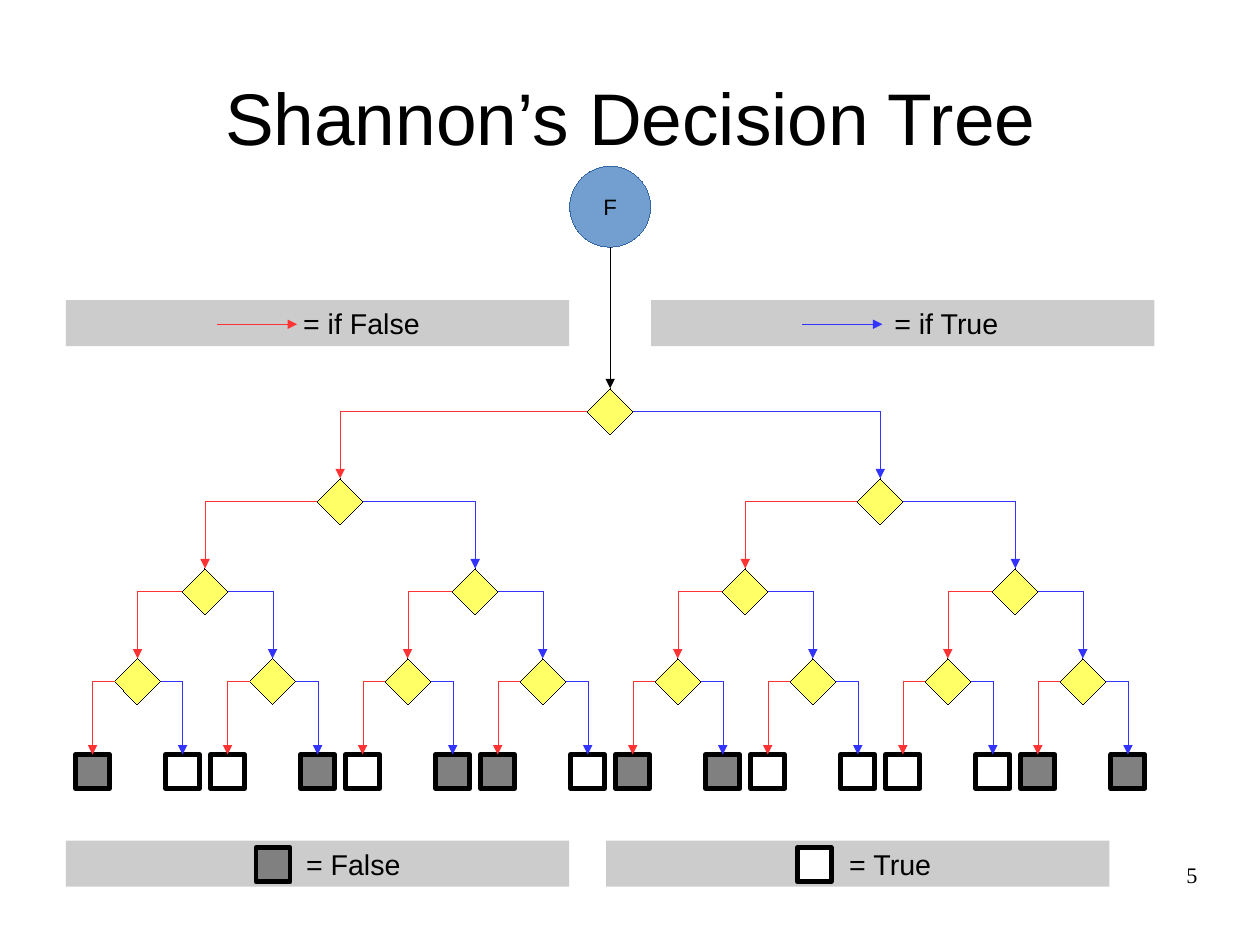
from lxml.etree import SubElement
from pptx import Presentation
from pptx.dml.color import RGBColor
from pptx.enum.shapes import MSO_CONNECTOR, MSO_SHAPE
from pptx.enum.text import MSO_ANCHOR, PP_ALIGN
from pptx.oxml.ns import qn
from pptx.util import Inches, Pt

TITLE = "Shannon’s Decision Tree"
FUNCTION_NAME = "F"
SLIDE_NUMBER = "5"
LEAVES = "FTTFTFFTFFTTTTFF"
BRANCH_COLORS = {"F": "FF3333", "T": "3333FF"}
LEAF_COLORS = {"F": "808080", "T": "FFFFFF"}
ARROW_LEGENDS = [
    ("= if False", "F", 66, 237, 217),
    ("= if True", "T", 651, 243, 802),
]
LEAF_LEGENDS = [
    ("= False", "F", 66, 240, 273),
    ("= True", "T", 606, 243, 814),
]

PX = 8000
HAIRLINE = Pt(0.01)
ROOT_X, ROOT_Y, LEVEL_GAP = 610, 411, 90
SPREADS = [270, 135, 67.5, 45]
DIAMOND, LEAF, CIRCLE = 46, 34, 81
LEGEND_WIDTH, LEGEND_HEIGHT = 503, 46
ARROW_LEGEND_TOP, LEAF_LEGEND_TOP = 300, 840
LEFT_SITE, RIGHT_SITE, TOP_SITE = 1, 3, 0


def emu(*lengths):
    return [round(length * PX) for length in lengths]


def color(value):
    return RGBColor.from_string(value)


def write(shape, text, size, font="Arial", align=PP_ALIGN.CENTER, anchor=MSO_ANCHOR.MIDDLE, left=0):
    frame = shape.text_frame
    frame.text = text
    frame.word_wrap = True
    frame.vertical_anchor = anchor
    frame.margin_left = left * PX
    frame.margin_right = frame.margin_top = frame.margin_bottom = 0
    paragraph = frame.paragraphs[0]
    paragraph.alignment = align
    paragraph.font.size = Pt(size)
    paragraph.font.name = font
    paragraph.font.color.rgb = color("000000")


def add_block(slide, kind, left, top, width, height, fill, line=None, line_width=HAIRLINE):
    shape = slide.shapes.add_shape(kind, *emu(left, top, width, height))
    shape.shadow.inherit = False
    shape.fill.solid()
    shape.fill.fore_color.rgb = color(fill)
    if line:
        shape.line.color.rgb = color(line)
        shape.line.width = line_width
    else:
        shape.line.fill.background()
    return shape


def add_leaf(slide, x, y, value):
    return add_block(slide, MSO_SHAPE.RECTANGLE, x - LEAF / 2, y - LEAF / 2, LEAF, LEAF,
                     LEAF_COLORS[value], "000000", Pt(3))


def add_arrow(slide, kind, start, end, line):
    arrow = slide.shapes.add_connector(kind, *emu(*start, *end))
    arrow.line.color.rgb = color(line)
    arrow.line.width = HAIRLINE
    properties = arrow.element.spPr
    SubElement(properties.find(qn("a:ln")), qn("a:tailEnd"), type="triangle")
    SubElement(properties, qn("a:effectLst"))
    return arrow


def add_branch(slide, parent, child, start, end, value):
    branch = add_arrow(slide, MSO_CONNECTOR.ELBOW, start, end, BRANCH_COLORS[value])
    branch.element.spPr.find(qn("a:prstGeom")).set("prst", "bentConnector2")
    branch.begin_connect(parent, LEFT_SITE if value == "F" else RIGHT_SITE)
    branch.end_connect(child, TOP_SITE)


def add_tree(slide, x, y, level, leaves):
    if level == len(SPREADS):
        return add_leaf(slide, x, y, leaves)
    node = add_block(slide, MSO_SHAPE.DIAMOND, x - DIAMOND / 2, y - DIAMOND / 2,
                     DIAMOND, DIAMOND, "FFFF66", "000000")
    half = len(leaves) // 2
    child_y = y + LEVEL_GAP
    child_size = LEAF if half == 1 else DIAMOND
    for value, side, part in (("F", -1, leaves[:half]), ("T", 1, leaves[half:])):
        child_x = x + side * SPREADS[level]
        child = add_tree(slide, child_x, child_y, level + 1, part)
        start = (x + side * DIAMOND / 2, y)
        add_branch(slide, node, child, start, (child_x, child_y - child_size / 2), value)
    return node


def add_legend(slide, text, left, top, text_left):
    legend = add_block(slide, MSO_SHAPE.RECTANGLE, left, top, LEGEND_WIDTH, LEGEND_HEIGHT, "CCCCCC")
    write(legend, text, 18, align=PP_ALIGN.LEFT, left=text_left)


def main():
    presentation = Presentation()
    presentation.slide_width = Inches(11.02)
    presentation.slide_height = Inches(8.27)
    slide = presentation.slides.add_slide(presentation.slide_layouts[5])

    title = slide.shapes.title
    title.left, title.top, title.width, title.height = emu(63, 37, 1134, 158)
    write(title, TITLE, 46)

    for text, value, left, text_left, arrow_left in ARROW_LEGENDS:
        add_legend(slide, text, left, ARROW_LEGEND_TOP, text_left)
        y = ARROW_LEGEND_TOP + LEGEND_HEIGHT // 2 + 1
        add_arrow(slide, MSO_CONNECTOR.STRAIGHT, (arrow_left, y), (arrow_left + 80, y),
                  BRANCH_COLORS[value])
    for text, value, left, text_left, leaf_x in LEAF_LEGENDS:
        add_legend(slide, text, left, LEAF_LEGEND_TOP, text_left)
        add_leaf(slide, leaf_x, LEAF_LEGEND_TOP + LEGEND_HEIGHT // 2 + 1, value)

    circle_top = 166
    circle = add_block(slide, MSO_SHAPE.OVAL, ROOT_X - CIRCLE / 2, circle_top, CIRCLE, CIRCLE,
                       "729FCF", "3465A4")
    write(circle, FUNCTION_NAME, 14)
    add_arrow(slide, MSO_CONNECTOR.STRAIGHT, (ROOT_X, circle_top + CIRCLE),
              (ROOT_X, ROOT_Y - DIAMOND / 2), "000000")
    add_tree(slide, ROOT_X, ROOT_Y, 0, LEAVES)

    number = slide.shapes.add_textbox(*emu(903, 861, 294, 65))
    write(number, SLIDE_NUMBER, 14, "Times New Roman", PP_ALIGN.RIGHT, MSO_ANCHOR.TOP)
    presentation.save("out.pptx")


if __name__ == "__main__":
    main()
